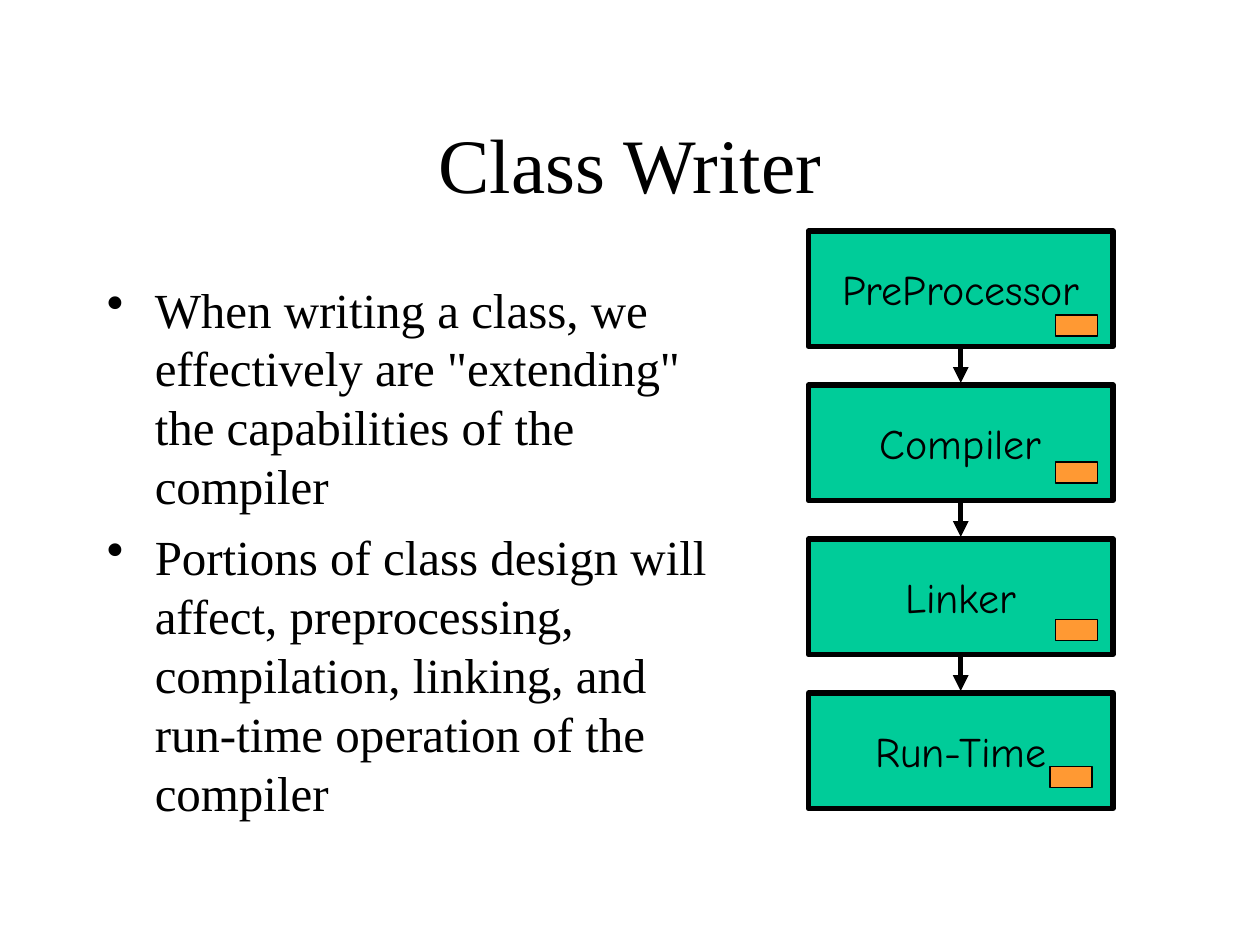
import pptx
import pptx.dml.color
import pptx.enum.shapes
import pptx.enum.text
import pptx.oxml
import pptx.util
from dataclasses import dataclass

SHAPE = pptx.enum.shapes.MSO_SHAPE
ALIGN = pptx.enum.text.PP_ALIGN
ANCHOR = pptx.enum.text.MSO_ANCHOR
Inches = pptx.util.Inches
Pt = pptx.util.Pt

STAGES = ["PreProcessor", "Compiler", "Linker", "Run-Time"]
POINTS = [
    'When writing a class, we effectively are "extending" the capabilities of the compiler',
    "Portions of class design will affect, preprocessing, compilation, linking, "
    "and run-time operation of the compiler",
]


@dataclass(frozen=True)
class Theme:
    ink: str = "000000"
    stage: str = "00CC99"
    marker: str = "FF9933"
    serif: str = "Times New Roman"
    casual: str = "Comic Neue"
    title_size: int = 44
    body_size: int = 28
    stage_size: int = 24
    heavy: float = 3
    thin: float = 0.75


class Deck:
    """Places elements on a grid of 120 columns by 90 rows."""

    COLS, ROWS = 120, 90

    def __init__(self, theme):
        self.theme = theme
        self.prs = pptx.Presentation()
        self.prs.slide_width, self.prs.slide_height = Inches(10), Inches(7.5)
        self.slide = self.prs.slides.add_slide(self.prs.slide_layouts[5])

    def grid(self, *cells):
        """Turn alternating columns and rows into slide lengths."""
        steps = (self.prs.slide_width / self.COLS, self.prs.slide_height / self.ROWS)
        return [round(cell * steps[i % 2]) for i, cell in enumerate(cells)]

    def color(self, value):
        return pptx.dml.color.RGBColor.from_string(value)

    def add_run(self, p, text, size, font):
        r = p.add_run()
        r.text = text
        r.font.size, r.font.name = Pt(size), font
        r.font.color.rgb = self.color(self.theme.ink)

    def outline(self, line, width):
        line.color.rgb = self.color(self.theme.ink)
        line.width = Pt(width)

    def title(self, text, *cells):
        sp = self.slide.shapes.title
        sp.left, sp.top, sp.width, sp.height = self.grid(*cells)
        tf = sp.text_frame
        tf.vertical_anchor = ANCHOR.MIDDLE
        p = tf.paragraphs[0]
        p.alignment = ALIGN.CENTER
        self.add_run(p, text, self.theme.title_size, self.theme.serif)

    def bullets(self, items, *cells):
        tf = self.slide.shapes.add_textbox(*self.grid(*cells)).text_frame
        tf.word_wrap = True
        for i, item in enumerate(items):
            p = tf.paragraphs[0] if i == 0 else tf.add_paragraph()
            pPr = p._p.get_or_add_pPr()
            pPr.set("marL", str(Inches(0.38)))
            pPr.set("indent", str(Inches(-0.38)))
            bullet = pptx.oxml.parse_xml(
                '<a:buChar xmlns:a="http://schemas.openxmlformats.org/drawingml/2006/main" char="•"/>')
            pPr.append(bullet)
            if i:
                p.space_before = Pt(7)
            self.add_run(p, item, self.theme.body_size, self.theme.serif)

    def box(self, kind, fill, line_width, *cells):
        sp = self.slide.shapes.add_shape(kind, *self.grid(*cells))
        sp.shadow.inherit = False
        sp.fill.solid()
        sp.fill.fore_color.rgb = self.color(fill)
        self.outline(sp.line, line_width)
        return sp

    def stage(self, text, *cells):
        sp = self.box(SHAPE.FLOWCHART_PROCESS, self.theme.stage, self.theme.heavy, *cells)
        tf = sp.text_frame
        tf.word_wrap = False
        tf.vertical_anchor = ANCHOR.MIDDLE
        p = tf.paragraphs[0]
        p.alignment = ALIGN.CENTER
        self.add_run(p, text, self.theme.stage_size, self.theme.casual)

    def marker(self, *cells):
        self.box(SHAPE.RECTANGLE, self.theme.marker, self.theme.thin, *cells)

    def arrow(self, *cells):
        cxn = self.slide.shapes.add_connector(
            pptx.enum.shapes.MSO_CONNECTOR.STRAIGHT, *self.grid(*cells))
        self.outline(cxn.line, self.theme.heavy)
        ln = cxn.line._get_or_add_ln()
        pptx.oxml.ns.qn("a:tailEnd")
        ln.append(ln.makeelement(pptx.oxml.ns.qn("a:tailEnd"), {"type": "triangle"}))
        spPr = cxn._element.spPr
        spPr.append(spPr.makeelement(pptx.oxml.ns.qn("a:effectLst"), {}))


def main():
    deck = Deck(Theme())
    deck.title("Class Writer", 9, 8, 102, 15)

    left, top, width, height, pitch = 77, 22, 29, 11, 14.67
    tops = [top + i * pitch for i in range(len(STAGES))]
    for text, row in zip(STAGES, tops):
        deck.stage(text, left, row, width, height)
    center = left + width / 2
    for row, next_row in zip(tops, tops[1:]):
        deck.arrow(center, row + height + 0.2, center, next_row - 0.2)

    deck.bullets(POINTS, 9, 26, 62, 54)
    for col, row in [(100.5, 30), (100.5, 44), (100.5, 59), (100, 73)]:
        deck.marker(col, row, 4, 2)

    deck.prs.save("out.pptx")


if __name__ == "__main__":
    main()
